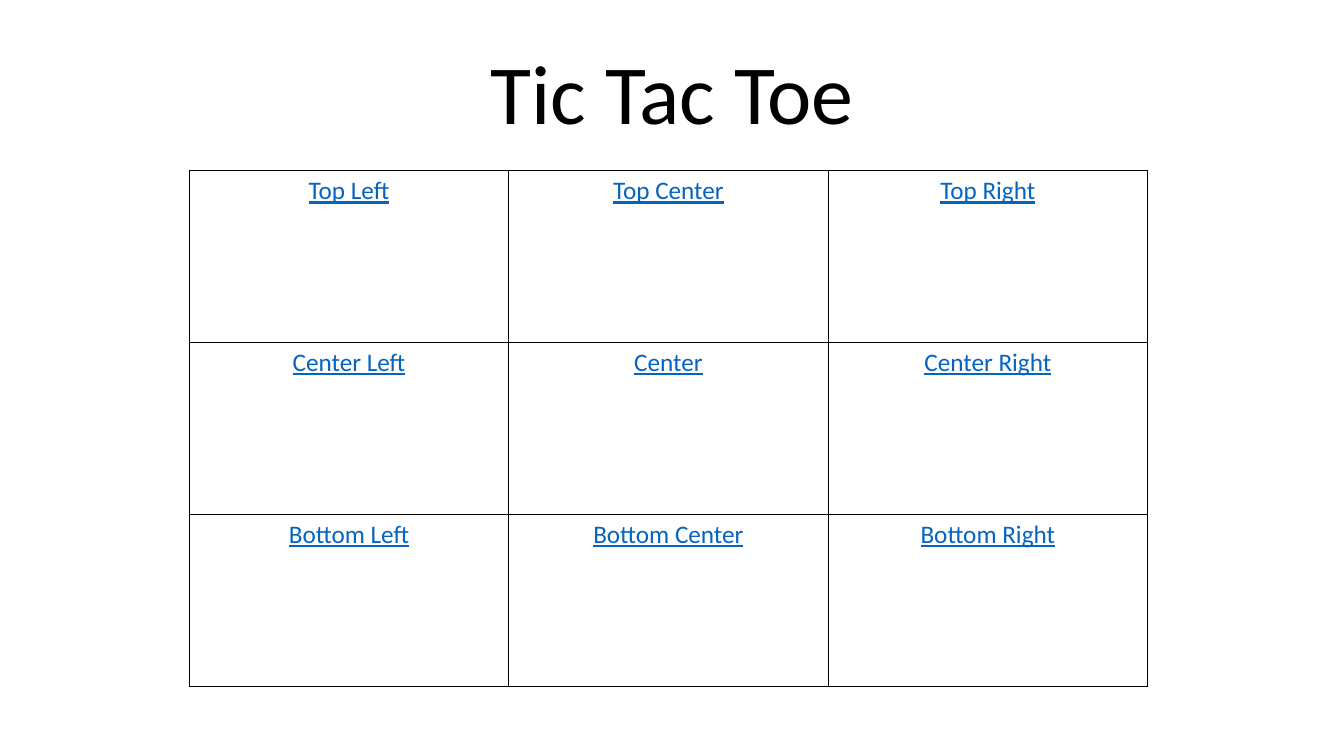
from dataclasses import dataclass

from lxml import etree
from pptx import Presentation
from pptx import util as u
from pptx.dml.color import RGBColor
from pptx.enum import text
from pptx.oxml import ns

COLORS = {"ink": "000000", "link": "0563C1", "paper": "FFFFFF"}
FONT = "Calibri"
COL_WIDTH, ROW_HEIGHT = u.Cm(8.05), u.Cm(4.33)


@dataclass(frozen=True)
class Square:
    row: int
    col: int
    label: str


LABELS = [
    ["Top Left", "Top Center", "Top Right"],
    ["Center Left", "Center", "Center Right"],
    ["Bottom Left", "Bottom Center", "Bottom Right"],
]
SQUARES = [Square(i, j, label) for i, row in enumerate(LABELS) for j, label in enumerate(row)]


def format_text(p, size: float, color: str, underline: bool = False) -> None:
    p.alignment = text.PP_ALIGN.CENTER
    for r in p.runs:
        r.font.name = FONT
        r.font.size = u.Pt(size)
        r.font.underline = underline
        r.font.color.rgb = RGBColor.from_string(COLORS[color])


def add_borders(cell, color: str, width: float) -> None:
    """Line all four sides; the schema wants the lines ahead of the fill."""
    tc_pr = cell._tc.get_or_add_tcPr()
    for i, side in enumerate(("lnL", "lnR", "lnT", "lnB")):
        ln = etree.Element(ns.qn(f"a:{side}"), w=str(u.Pt(width)))
        fill = etree.SubElement(ln, ns.qn("a:solidFill"))
        etree.SubElement(fill, ns.qn("a:srgbClr"), val=COLORS[color])
        tc_pr.insert(i, ln)


def add_title(s, title: str) -> None:
    sp = s.shapes.title
    sp.left, sp.top, sp.width, sp.height = u.Cm(4.24), u.Cm(0.89), u.Cm(25.4), u.Cm(2.84)
    tf = sp.text_frame
    tf.text = title
    tf.word_wrap = True
    tf.auto_size = text.MSO_AUTO_SIZE.NONE
    tf.vertical_anchor = text.MSO_ANCHOR.BOTTOM
    tf.paragraphs[0].line_spacing = 0.9
    format_text(tf.paragraphs[0], 60, "ink")


def draw_square(table, square: Square) -> None:
    cell = table.cell(square.row, square.col)
    cell.fill.solid()
    cell.fill.fore_color.rgb = RGBColor.from_string(COLORS["paper"])
    cell.text_frame.text = square.label
    format_text(cell.text_frame.paragraphs[0], 18, "link", underline=True)
    add_borders(cell, "ink", 1)


def add_board(s) -> None:
    size = len(LABELS)
    table = s.shapes.add_table(
        size, size, u.Cm(4.77), u.Cm(4.3), COL_WIDTH * size, ROW_HEIGHT * size
    ).table
    table.first_row = table.horz_banding = False
    for col in table.columns:
        col.width = COL_WIDTH
    for row in table.rows:
        row.height = ROW_HEIGHT
    for square in SQUARES:
        draw_square(table, square)


def main() -> None:
    prs = Presentation()
    prs.slide_width, prs.slide_height = u.Cm(33.87), u.Cm(19.05)
    s = prs.slides.add_slide(prs.slide_layouts.get_by_name("Title Only"))
    add_title(s, "Tic Tac Toe")
    add_board(s)
    prs.save("out.pptx")


if __name__ == "__main__":
    main()
